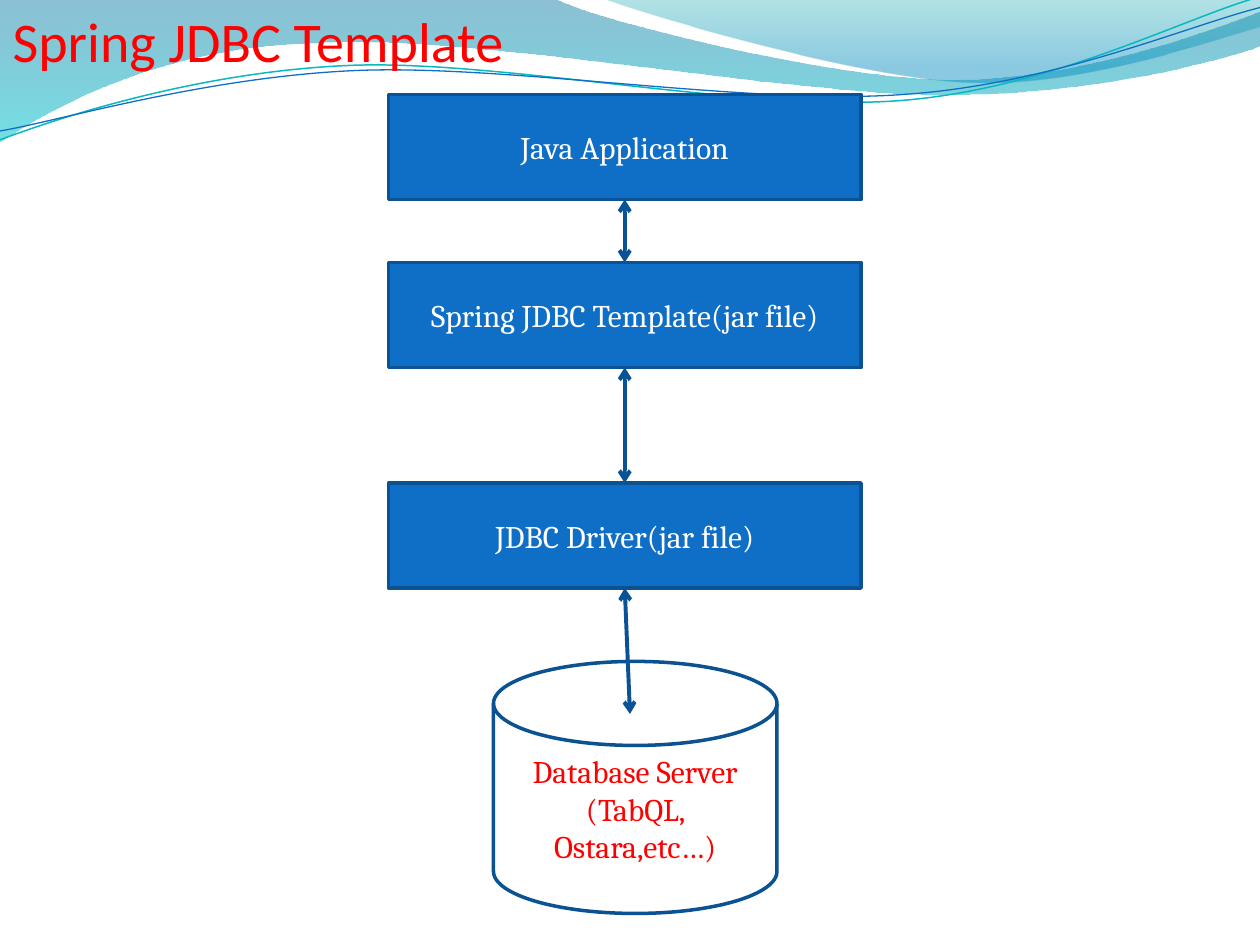
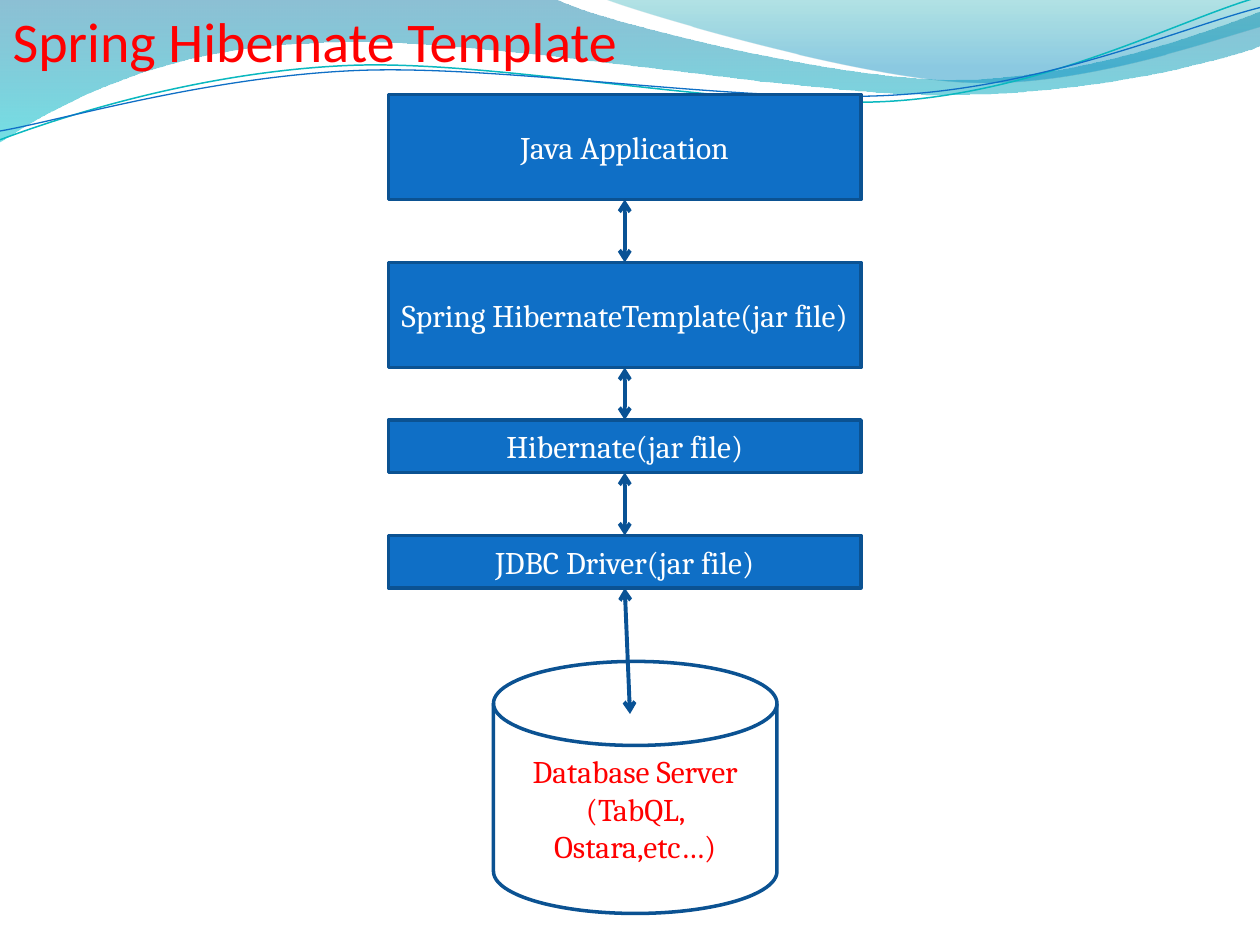
import pptx
import pptx.util
import pptx.dml.color
import pptx.enum.shapes
import pptx.enum.text
import pptx.oxml.ns
import lxml.etree

Inches = pptx.util.Inches
Pt = pptx.util.Pt
qn = pptx.oxml.ns.qn
SHAPE = pptx.enum.shapes.MSO_SHAPE
ALIGN = pptx.enum.text.PP_ALIGN
ANCHOR = pptx.enum.text.MSO_ANCHOR

BLUE, EDGE, ARROW, RED, WHITE = "0F6FC6", "0B5292", "095295", "FF0000", "FFFFFF"

# The diagrams sit on a grid of twelfths of an inch
GRID = Inches(1) / 12
BOX_LEFT, BOX_WIDTH = 37, 45
CENTER = BOX_LEFT + BOX_WIDTH / 2


def paint(color_format, value):
    color_format.rgb = pptx.dml.color.RGBColor.from_string(value)


def write_text(shape, lines, size, font, color, align, anchor):
    frame = shape.text_frame
    frame.text = "\n".join(lines)
    frame.word_wrap = True
    frame.auto_size = pptx.enum.text.MSO_AUTO_SIZE.NONE
    frame.vertical_anchor = anchor
    for para in frame.paragraphs:
        para.alignment = align
        for span in para.runs:
            span.font.size = Pt(size)
            span.font.name = font
            paint(span.font.color, color)


# Each wave: start, segments (2 numbers for a line, 6 for a Bézier curve),
# gradient stops (position, colour, opacity) and outline (colour, width)
waves = [
    ((0, 0),
     [(4.4, -0.01), (4.76, 0.17, 6.64, 0.63, 7.58, 0.63),
      (8.53, 0.63, 9.58, 0.26, 10, 0.09), (10.01, 0.36),
      (9.83, 0.44, 8.7, 0.76, 7.46, 0.75), (6.22, 0.75, 3.82, 0.28, 2.57, 0.34),
      (1.29, 0.36, 0.46, 0.83, -0.01, 1.13)],
     [(0, "0074A1", 45), (1, "00C6CF", 55)], None),
    ((4.79, -0.01),
     [(5.09, 0.11, 6.82, 0.62, 7.69, 0.65), (8.56, 0.69, 9.61, 0.32, 10, 0.21),
      (10, 0)],
     [(0, "00A1A9", 30), (0.8, "008BBF", 45)], None),
    ((0, 1.11),
     [(0.48, 0.93, 1.58, 0.57, 2.77, 0.52), (3.95, 0.47, 5.93, 0.89, 7.13, 0.8),
      (8.33, 0.71, 9.38, 0.15, 9.98, -0.02)],
     None, ("0AB8BF", 0.85)),
    ((0, 1.04),
     [(0.47, 0.96, 1.64, 0.61, 2.83, 0.56), (4.03, 0.51, 5.97, 0.84, 7.17, 0.75),
      (8.36, 0.67, 9.41, 0.21, 10, 0.06)],
     None, ("0F6FC6", 0.75)),
]

# Each slide: title and boxes as (text, top, height) on the grid
diagrams = [
    ("Spring JDBC Template",
     [("Java Application", 9, 10),
      ("Spring JDBC Template(jar file)", 25, 10),
      ("JDBC Driver(jar file)", 46, 10)]),
    ("Spring Hibernate Template",
     [("Java Application", 9, 10),
      ("Spring HibernateTemplate(jar file)", 25, 10),
      ("Hibernate(jar file)", 40, 5),
      ("JDBC Driver(jar file)", 51, 5)]),
]

deck = pptx.Presentation()
deck.slide_width = Inches(10)
deck.slide_height = Inches(7.5)
layout = deck.slide_layouts.get_by_name("Title Only")
pages = [deck.slides.add_slide(layout) for diagram in diagrams]

# Waves, drawn once and moved to the shared layout
for number, (start, segments, stops, outline) in enumerate(waves):
    builder = pages[0].shapes.build_freeform(Inches(start[0]), Inches(start[1]))
    builder.add_line_segments([(Inches(segment[-2]), Inches(segment[-1]))
                               for segment in segments], close=stops is not None)
    wave = builder.convert_to_shape()
    wave.shadow.inherit = False

    # Bend the segments that have control points
    straight = list(wave.element.iter(qn("a:lnTo")))
    for node, segment in zip(straight, segments):
        if len(segment) == 6:
            node.tag = qn("a:cubicBezTo")
            for index in (0, 2):
                control = lxml.etree.Element(qn("a:pt"))
                control.set("x", str(Inches(segment[index]) - wave.left))
                control.set("y", str(Inches(segment[index + 1]) - wave.top))
                node.insert(index // 2, control)

    if stops:
        wave.line.fill.background()
        wave.fill.gradient()
        wave.fill.gradient_angle = 270
        for stop, (position, color, opacity) in zip(wave.fill.gradient_stops, stops):
            stop.position = position
            paint(stop.color, color)
        for node, (position, color, opacity) in zip(
                wave.element.spPr.iter(qn("a:srgbClr")), stops):
            alpha = lxml.etree.SubElement(node, qn("a:alpha"))
            alpha.set("val", str(opacity * 1000))
    else:
        wave.fill.background()
        paint(wave.line.color, outline[0])
        wave.line.width = Pt(outline[1])
    layout.shapes.element.insert(2 + number, wave.element)

for page, (heading, boxes) in zip(pages, diagrams):
    # Title
    title = page.shapes.title
    title.left, title.top = Inches(0), Inches(0)
    title.width, title.height = Inches(10), Inches(0.83)
    write_text(title, [heading], 32, "Calibri", RED, ALIGN.JUSTIFY, ANCHOR.TOP)

    # Layers of the application
    for label, top, height in boxes:
        place = [round(GRID * units) for units in (BOX_LEFT, top, BOX_WIDTH, height)]
        box = page.shapes.add_shape(SHAPE.RECTANGLE, *place)
        box.shadow.inherit = False
        box.fill.solid()
        paint(box.fill.fore_color, BLUE)
        paint(box.line.color, EDGE)
        box.line.width = Pt(2)
        write_text(box, [label], 18, "Cambria", WHITE, ALIGN.CENTER, ANCHOR.MIDDLE)

    # Database
    place = [round(GRID * units) for units in (47, 63, 27, 24)]
    database = page.shapes.add_shape(SHAPE.FLOWCHART_MAGNETIC_DISK, *place)
    database.shadow.inherit = False
    database.fill.background()
    paint(database.line.color, EDGE)
    database.line.width = Pt(2)
    write_text(database, ["Database Server", "(TabQL, Ostara,etc…)"], 18, "Cambria",
               RED, ALIGN.CENTER, ANCHOR.MIDDLE)

    # Double arrows from each layer to the next, the last one into the database
    bottoms = [top + height for label, top, height in boxes]
    targets = [(CENTER, top) for label, top, height in boxes[1:]] + [(60, 68)]
    for bottom, (end_x, end_y) in zip(bottoms, targets):
        ends = [round(GRID * units) for units in (CENTER, bottom, end_x, end_y)]
        arrow = page.shapes.add_connector(
            pptx.enum.shapes.MSO_CONNECTOR.STRAIGHT, *ends)
        paint(arrow.line.color, ARROW)
        arrow.line.width = Pt(2.25)
        line = arrow.element.spPr.find(qn("a:ln"))
        for tip in ("a:headEnd", "a:tailEnd"):
            lxml.etree.SubElement(line, qn(tip)).set("type", "arrow")
        lxml.etree.SubElement(arrow.element.spPr, qn("a:effectLst"))

deck.save("out.pptx")
